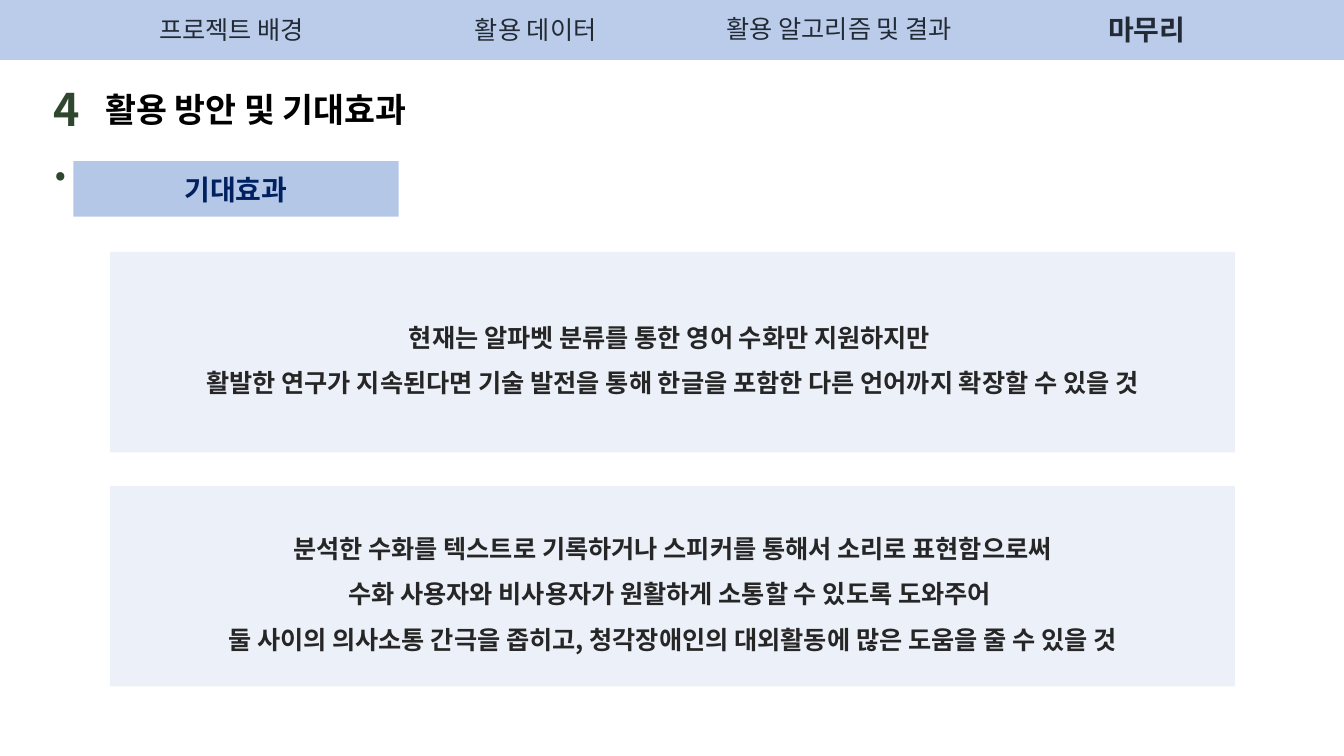
from lxml.etree import SubElement
from pptx import Presentation
from pptx.dml.color import RGBColor
from pptx.enum.shapes import MSO_SHAPE
from pptx.enum.text import MSO_ANCHOR, PP_ALIGN
from pptx.oxml.ns import qn
from pptx.util import Cm, Pt

THEME = {
    "font": "Noto Sans CJK KR",
    "header": "8FAADC", "card": "DAE3F3", "badge": "B4C7E7",
    "nav": "222A35", "title": "000000", "number": "30472F",
    "body": "262626", "badge_text": "002060",
    "text_size": 18, "strong_size": 20, "title_size": 24, "number_size": 32,
}

NAVIGATION = [
    ("프로젝트 배경", (3.76, 0.23, 7.21, 1.02), {"align": PP_ALIGN.LEFT}),
    ("활용 데이터", (9.65, 0.23, 7.7, 1.02), {}),
    ("활용 알고리즘 및 결과", (18.06, 0.2, 7.21, 1.02), {"align": PP_ALIGN.LEFT}),
    ("마무리", (24.38, 0.18, 9.04, 1.12), {"size": THEME["strong_size"], "bold": True}),
]
NUMBER = "4."
TITLE = "활용 방안 및 기대효과"
BADGE = "기대효과"
CARDS = [
    ["현재는 알파벳 분류를 통한 영어 수화만 지원하지만 ",
     "활발한 연구가 지속된다면 기술 발전을 통해 한글을 포함한 다른 언어까지 확장할 수 있을 것"],
    ["분석한 수화를 텍스트로 기록하거나 스피커를 통해서 소리로 표현함으로써",
     "수화 사용자와 비사용자가 원활하게 소통할 수 있도록 도와주어 ",
     "둘 사이의 의사소통 간극을 좁히고, 청각장애인의 대외활동에 많은 도움을 줄 수 있을 것"],
]
SLIDE_WIDTH, SLIDE_HEIGHT = 33.87, 19.05
CARD_LEFT, CARD_TOP, CARD_WIDTH, CARD_HEIGHT, CARD_GAP = 2.77, 6.35, 28.35, 5.05, 0.85


def write(box, lines, color, size=THEME["text_size"], bold=False,
          align=PP_ALIGN.CENTER, spacing=None, anchor=MSO_ANCHOR.TOP):
    frame = box.text_frame
    frame.word_wrap = True
    frame.vertical_anchor = anchor
    for index, line in enumerate(lines):
        para = frame.paragraphs[0] if index == 0 else frame.add_paragraph()
        para.alignment = align
        para.line_spacing = spacing
        span = para.add_run()
        span.text = line
        span.font.size = Pt(size)
        span.font.bold = bold
        span.font.color.rgb = RGBColor.from_string(THEME[color])
        span.font.name = THEME["font"]
        SubElement(span.font._element, qn("a:ea"), typeface=THEME["font"])


def add_text(page, text, place, color, **style):
    write(page.shapes.add_textbox(*map(Cm, place)), [text], color, **style)


def add_panel(page, place, fill, opacity=100):
    box = page.shapes.add_shape(MSO_SHAPE.RECTANGLE, *map(Cm, place))
    box.shadow.inherit = False
    box.line.fill.background()
    box.fill.solid()
    box.fill.fore_color.rgb = RGBColor.from_string(THEME[fill])
    if opacity < 100:
        color = box._element.spPr.find(qn("a:solidFill")).find(qn("a:srgbClr"))
        SubElement(color, qn("a:alpha"), val=str(opacity * 1000))
    return box


def main():
    deck = Presentation()
    deck.slide_width, deck.slide_height = Cm(SLIDE_WIDTH), Cm(SLIDE_HEIGHT)
    page = deck.slides.add_slide(deck.slide_layouts[6])

    add_panel(page, (0, 0, SLIDE_WIDTH, 1.51), "header", opacity=60)
    for label, place, style in NAVIGATION:
        add_text(page, label, place, "nav", **style)

    add_text(page, TITLE, (2.41, 2.11, 16.81, 1.28), "title",
             size=THEME["title_size"], bold=True, align=PP_ALIGN.LEFT)
    add_text(page, NUMBER, (1.09, 1.93, 1.32, 1.62), "number",
             size=THEME["number_size"], bold=True, align=PP_ALIGN.LEFT)

    for index, lines in enumerate(CARDS):
        top = CARD_TOP + index * (CARD_HEIGHT + CARD_GAP)
        card = add_panel(page, (CARD_LEFT, top, CARD_WIDTH, CARD_HEIGHT), "card", opacity=50)
        write(card, lines, "body", bold=True, spacing=1.5, anchor=MSO_ANCHOR.MIDDLE)

    badge = add_panel(page, (1.85, 4.06, 8.2, 1.4), "badge")
    write(badge, [BADGE], "badge_text", size=THEME["strong_size"], bold=True,
          anchor=MSO_ANCHOR.MIDDLE)
    deck.save("out.pptx")


if __name__ == "__main__":
    main()
